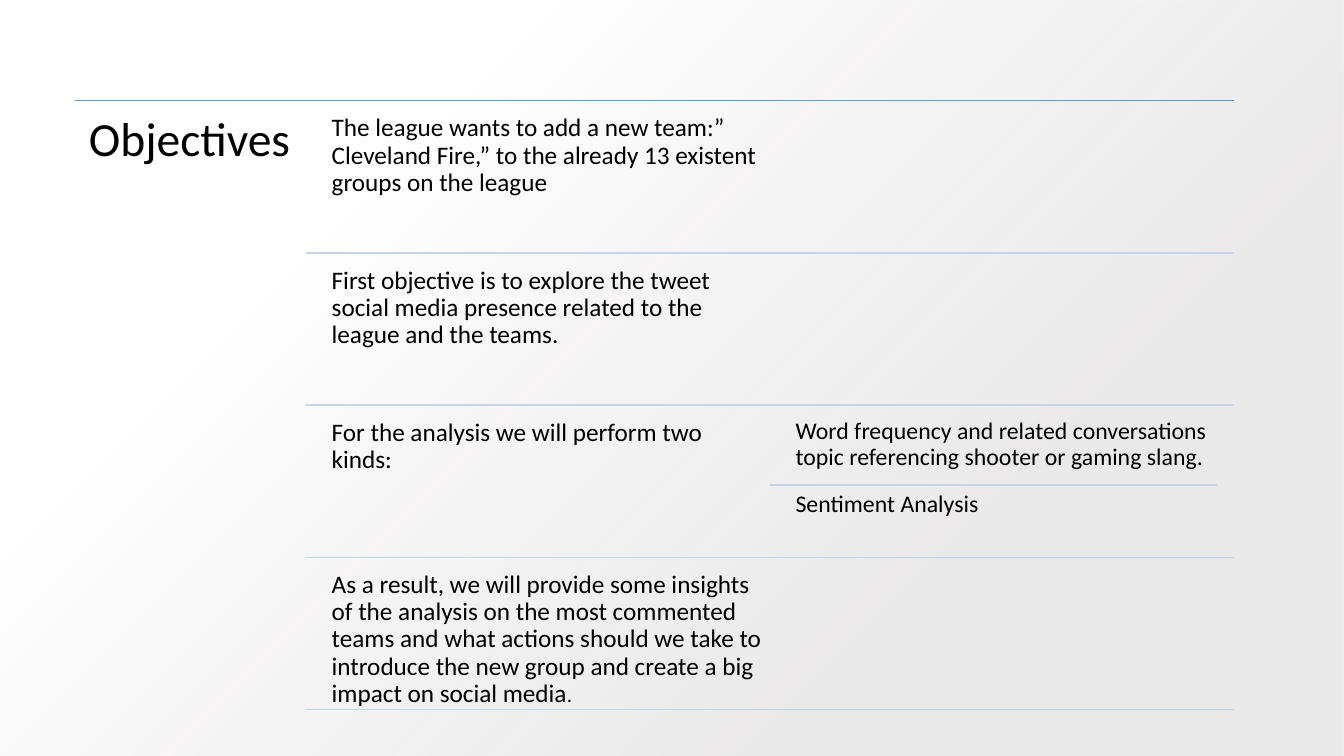
from pptx import Presentation
from pptx.dml.color import RGBColor
from pptx.enum.shapes import MSO_CONNECTOR, MSO_SHAPE
from pptx.enum.text import MSO_ANCHOR, MSO_AUTO_SIZE, PP_ALIGN
from pptx.oxml import parse_xml
from pptx.oxml.ns import nsdecls
from pptx.util import Cm, Pt

TITLE = "Objectives"
# Each row: main text, then its sub-points
ROWS = [
    ("The league wants to add a new team:” Cleveland Fire,” to the "
     "already 13 existent groups on the league", []),
    ("First objective is to explore the tweet social media presence "
     "related to the league and the teams.", []),
    ("For the analysis we will perform two kinds:",
     ["Word frequency and related conversations topic referencing "
      "shooter or gaming slang.", "Sentiment Analysis"]),
    ("As a result, we will provide some insights of the analysis on the "
     "most commented teams and what actions should we take to introduce "
     "the new group and create a big impact on social media", []),
]
STOP = "."

COLORS = {"text": "000000", "top": "5B9BD5", "rule": "C4D5EB",
          "grey": "E7E6E6", "white": "FFFFFF"}
FONT = "Calibri"

# Lengths in centimetres
LEFT, RIGHT = 1.88, 31.09
TOP, BASE = 2.54, 17.88
MAIN, SUB = 7.72, 19.41
INDENT, GAP = 0.46, 0.18
WIDTH, HEIGHT = 11.25, 3.66
PITCH = (BASE - TOP) / len(ROWS)

prs = Presentation()
prs.slide_width, prs.slide_height = Cm(33.87), Cm(19.05)
slide = prs.slides.add_slide(prs.slide_layouts[5])
shapes = slide.shapes


def color(name):
    return RGBColor.from_string(COLORS[name])


def paint():
    """Lay a grey glow from the bottom right corner behind everything."""
    back = shapes.add_shape(MSO_SHAPE.RECTANGLE, 0, 0,
                            prs.slide_width, prs.slide_height)
    back.shadow.inherit = False
    back.line.fill.background()
    back.fill.gradient()
    old = back._element.spPr.find(
        "{http://schemas.openxmlformats.org/drawingml/2006/main}gradFill")
    new = parse_xml(
        f'<a:gradFill {nsdecls("a")}><a:gsLst>'
        f'<a:gs pos="28000"><a:srgbClr val="{COLORS["grey"]}">'
        '<a:alpha val="84000"/></a:srgbClr></a:gs>'
        f'<a:gs pos="74000"><a:srgbClr val="{COLORS["white"]}"/></a:gs>'
        '</a:gsLst><a:path path="circle">'
        '<a:fillToRect l="100000" t="100000"/></a:path></a:gradFill>')
    old.getparent().replace(old, new)
    shapes._spTree.insert(2, back._element)


def rule(x1, x2, y, tint="rule", size=1):
    line = shapes.add_connector(MSO_CONNECTOR.STRAIGHT,
                                Cm(x1), Cm(y), Cm(x2), Cm(y))
    line.line.color.rgb = color(tint)
    line.line.width = Pt(size)
    line._element.spPr.append(parse_xml(f'<a:effectLst {nsdecls("a")}/>'))


def style(box, text, size, inset):
    frame = box.text_frame
    frame.word_wrap = True
    frame.auto_size = MSO_AUTO_SIZE.NONE
    frame.vertical_anchor = MSO_ANCHOR.TOP
    frame.margin_left = frame.margin_right = Cm(inset)
    frame.margin_top = frame.margin_bottom = Cm(inset)
    par = frame.paragraphs[0]
    par.text = text
    par.alignment = PP_ALIGN.LEFT
    par.line_spacing = 0.9
    par.font.name = FONT
    par.font.size = Pt(size)
    par.font.color.rgb = color("text")
    return par


def write(x, y, high, text, size):
    box = shapes.add_textbox(Cm(x), Cm(y), Cm(WIDTH), Cm(high))
    return style(box, text, size, GAP)


paint()
title = shapes.title
title.left, title.top = Cm(LEFT), Cm(TOP)
title.width, title.height = Cm(MAIN - LEFT), Cm(BASE - TOP + GAP)
style(title, TITLE, 34, 0.36)
rule(LEFT, RIGHT, TOP, "top", 0.5)

for row, (text, subs) in enumerate(ROWS):
    y = TOP + row * PITCH
    last = write(MAIN + INDENT, y + GAP, HEIGHT, text, 18)
    rule(MAIN, RIGHT, y + PITCH)
    for num, sub in enumerate(subs):
        step = HEIGHT / len(subs)
        top = y + GAP + num * step
        write(SUB + INDENT, top, step, sub, 17)
        if num:
            rule(SUB, SUB + WIDTH, top)

dot = last.add_run()
dot.text = STOP
dot.font.size = Pt(15)

prs.save("out.pptx")
